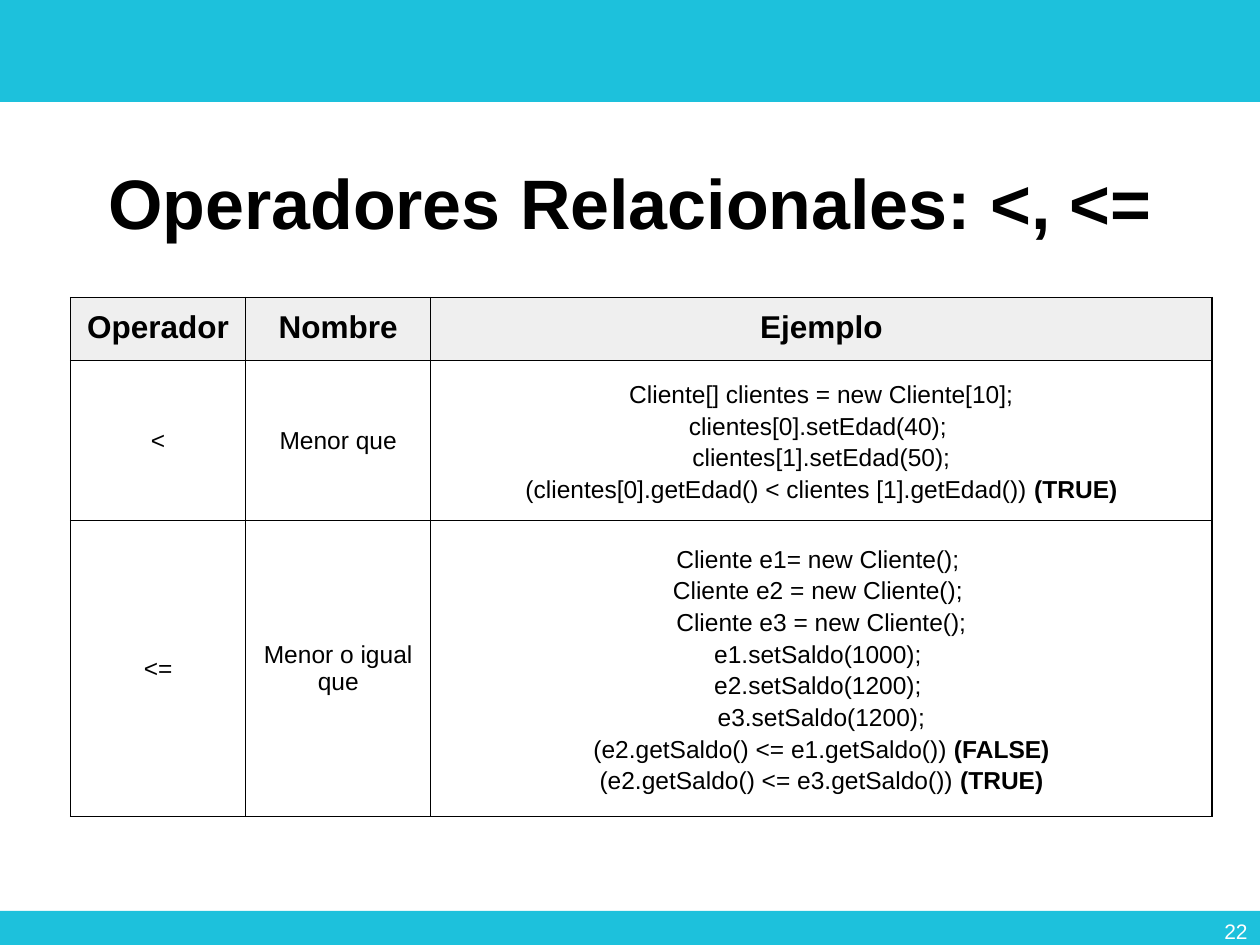
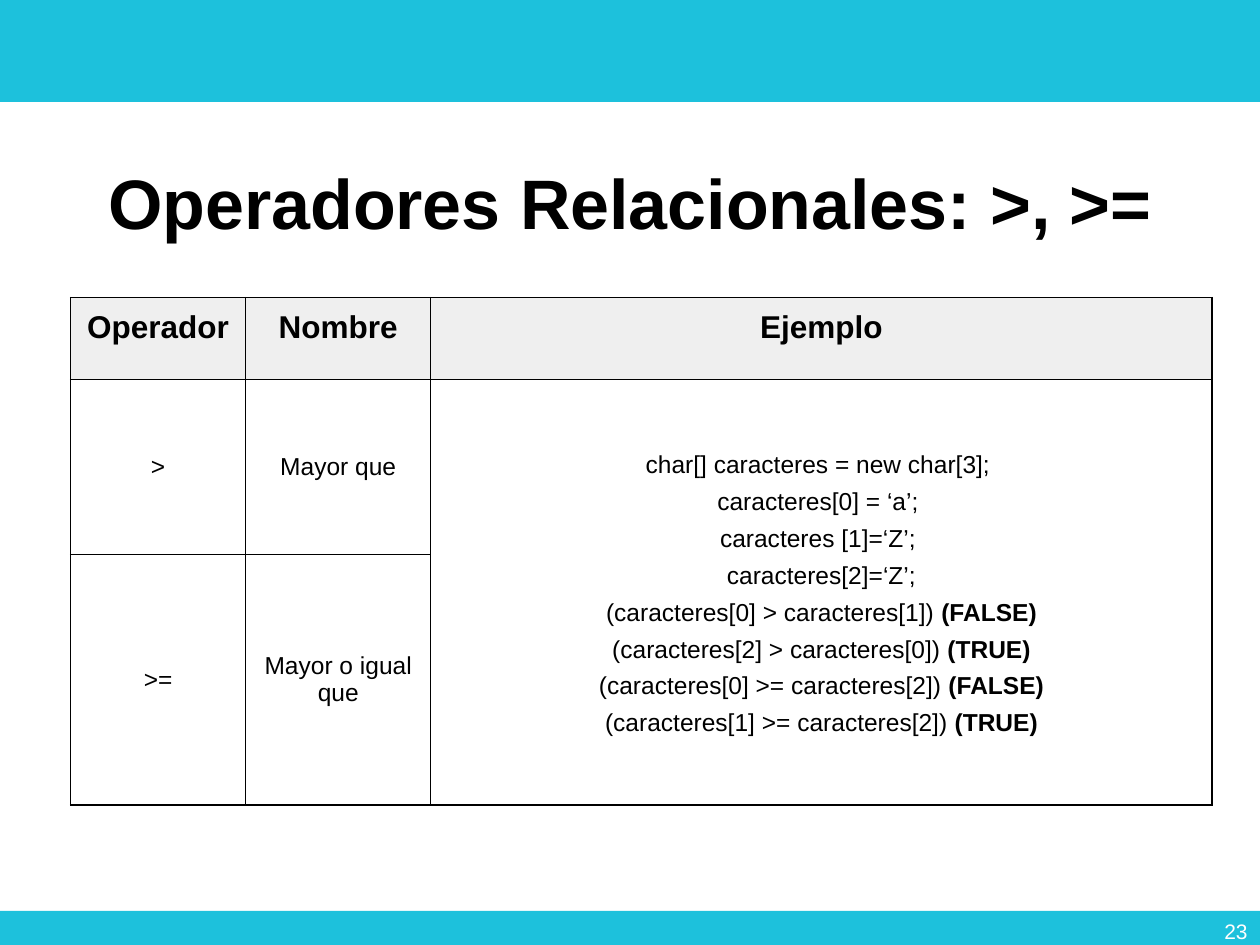
import pptx
import pptx.dml.color
import pptx.enum.shapes
import pptx.enum.text
import pptx.oxml
import pptx.oxml.ns
import pptx.util

WIDTH, HEIGHT = 10, 7.5
FONT = "Arial"
BLACK, WHITE, CYAN, GRAY = "000000", "FFFFFF", "1DC1DC", "EFEFEF"
BANDS = [(0, 0.81), (7.23, 0.27)]
COLUMNS = [1.39, 1.47, 6.2]
HEADINGS = ["Operador", "Nombre", "Ejemplo"]
CENTER = pptx.enum.text.PP_ALIGN.CENTER
RIGHT = pptx.enum.text.PP_ALIGN.RIGHT
TOP = pptx.enum.text.MSO_ANCHOR.TOP
MIDDLE = pptx.enum.text.MSO_ANCHOR.MIDDLE

LESS_EXAMPLE = [
    "Cliente[] clientes = new Cliente[10];",
    "clientes[0].setEdad(40); ",
    "clientes[1].setEdad(50);",
    "(clientes[0].getEdad() < clientes [1].getEdad()) |(TRUE)",
]
LESS_EQUAL_EXAMPLE = [
    "Cliente e1= new Cliente(); ",
    "Cliente e2 = new Cliente(); ",
    "Cliente e3 = new Cliente();",
    "e1.setSaldo(1000); ",
    "e2.setSaldo(1200); ",
    "e3.setSaldo(1200);",
    "(e2.getSaldo() <= e1.getSaldo()) |(FALSE)",
    "(e2.getSaldo() <= e3.getSaldo()) |(TRUE)",
]
GREATER_EXAMPLE = [
    "char[] caracteres = new char[3]; ",
    "caracteres[0] = ‘a’; ",
    "caracteres [1]=‘Z’; ",
    "caracteres[2]=‘Z’;",
    "(caracteres[0] > caracteres[1]) |(FALSE)",
    "(caracteres[2] > caracteres[0]) |(TRUE)",
    "(caracteres[0] >= caracteres[2]) |(FALSE)",
    "(caracteres[1] >= caracteres[2]) |(TRUE)",
]


def inches(*lengths):
    """Convert lengths in inches to slide units."""
    return [pptx.util.Inches(length) for length in lengths]


def color(code):
    """Turn a hex string into a colour."""
    return pptx.dml.color.RGBColor.from_string(code)


def write(frame, lines, size=14, ink=BLACK, bold=False, align=CENTER, spacing=None, before=0):
    """Fill a text frame; the part of a line after a bar is bold."""
    for index, line in enumerate(lines):
        para = frame.add_paragraph() if index else frame.paragraphs[0]
        para.alignment = align
        para.line_spacing = spacing
        para.space_before = pptx.util.Pt(before if index else 0)
        for part, text in enumerate(line.split("|")):
            span = para.add_run()
            span.text = text
            span.font.name = FONT
            span.font.size = pptx.util.Pt(size)
            span.font.bold = bold or part > 0
            span.font.color.rgb = color(ink)


def add_bands(deck, slide):
    """Place the coloured bands on the slide master."""
    for top, height in BANDS:
        band = slide.shapes.add_shape(
            pptx.enum.shapes.MSO_SHAPE.RECTANGLE, *inches(0, top, WIDTH, height))
        band.shadow.inherit = False
        band.fill.solid()
        band.fill.fore_color.rgb = color(CYAN)
        band.line.fill.background()
        deck.slide_master.shapes.element.insert(2, band.element)


def add_title(slide, text):
    """Place and format the title placeholder."""
    title = slide.shapes.title
    title.left, title.top, title.width, title.height = inches(0.69, 0.98, 8.62, 1.33)
    title.text_frame.auto_size = pptx.enum.text.MSO_AUTO_SIZE.NONE
    title.text_frame.vertical_anchor = MIDDLE
    write(title.text_frame, [text], size=40, bold=True, spacing=0.9)


def add_page_number(slide, number):
    """Write the page number on the lower band."""
    box = slide.shapes.add_textbox(*inches(7.75, 7.19, 2.25, 0.4))
    box.text_frame.word_wrap = True
    box.text_frame.vertical_anchor = MIDDLE
    write(box.text_frame, [str(number)], size=12, ink=WHITE, align=RIGHT)


def frame_cell(cell, fill=None, anchor=MIDDLE):
    """Give a cell its borders, margins, anchor and fill."""
    properties = cell._tc.get_or_add_tcPr()
    for side in "LRTB":
        properties.append(pptx.oxml.parse_xml(
            f'<a:ln{side} {pptx.oxml.ns.nsdecls("a")} w="9525"><a:solidFill>'
            f'<a:srgbClr val="{BLACK}"/></a:solidFill></a:ln{side}>'))
    cell.margin_left = cell.margin_right = pptx.util.Inches(0.1)
    cell.margin_top = cell.margin_bottom = pptx.util.Inches(0.1)
    cell.vertical_anchor = anchor
    if fill:
        cell.fill.solid()
        cell.fill.fore_color.rgb = color(fill)
    else:
        cell.fill.background()


def add_operator_table(slide, heights, operators, before=0):
    """Add the operator table; a row without example shares the one above."""
    table = slide.shapes.add_table(
        len(heights), len(COLUMNS), *inches(0.56, 2.36, sum(COLUMNS), sum(heights))).table
    table.first_row = table.horz_banding = False
    for column, width in zip(table.columns, COLUMNS):
        column.width = pptx.util.Inches(width)
    for row, height in zip(table.rows, heights):
        row.height = pptx.util.Inches(height)
    for cell, heading in zip(table.rows[0].cells, HEADINGS):
        frame_cell(cell, fill=GRAY, anchor=TOP)
        write(cell.text_frame, [heading], size=18, bold=True)
    for index, (symbol, name, example) in enumerate(operators, 1):
        symbol_cell, name_cell, example_cell = table.rows[index].cells
        for cell in (symbol_cell, name_cell, example_cell):
            frame_cell(cell)
        write(symbol_cell.text_frame, [symbol])
        write(name_cell.text_frame, [name])
        if example:
            write(example_cell.text_frame, example, spacing=1.15, before=before)
        else:
            table.cell(index - 1, 2).merge(example_cell)


def add_page(deck, title, number):
    """Add a slide with its title and page number."""
    page = deck.slides.add_slide(deck.slide_layouts.get_by_name("Title Only"))
    add_title(page, title)
    add_page_number(page, number)
    return page


def main():
    """Build the deck and save it."""
    deck = pptx.Presentation()
    deck.slide_width, deck.slide_height = inches(WIDTH, HEIGHT)

    less = add_page(deck, "Operadores Relacionales: <, <=", 22)
    add_bands(deck, less)
    add_operator_table(less, [0.48, 1.21, 2.2], [
        ("<", "Menor que", LESS_EXAMPLE),
        ("<=", "Menor o igual que", LESS_EQUAL_EXAMPLE),
    ])

    greater = add_page(deck, "Operadores Relacionales: >, >=", 23)
    add_operator_table(greater, [0.65, 1.39, 1.99], [
        (">", "Mayor que", GREATER_EXAMPLE),
        (">=", "Mayor o igual que", None),
    ], before=3)

    deck.save("out.pptx")


if __name__ == "__main__":
    main()
